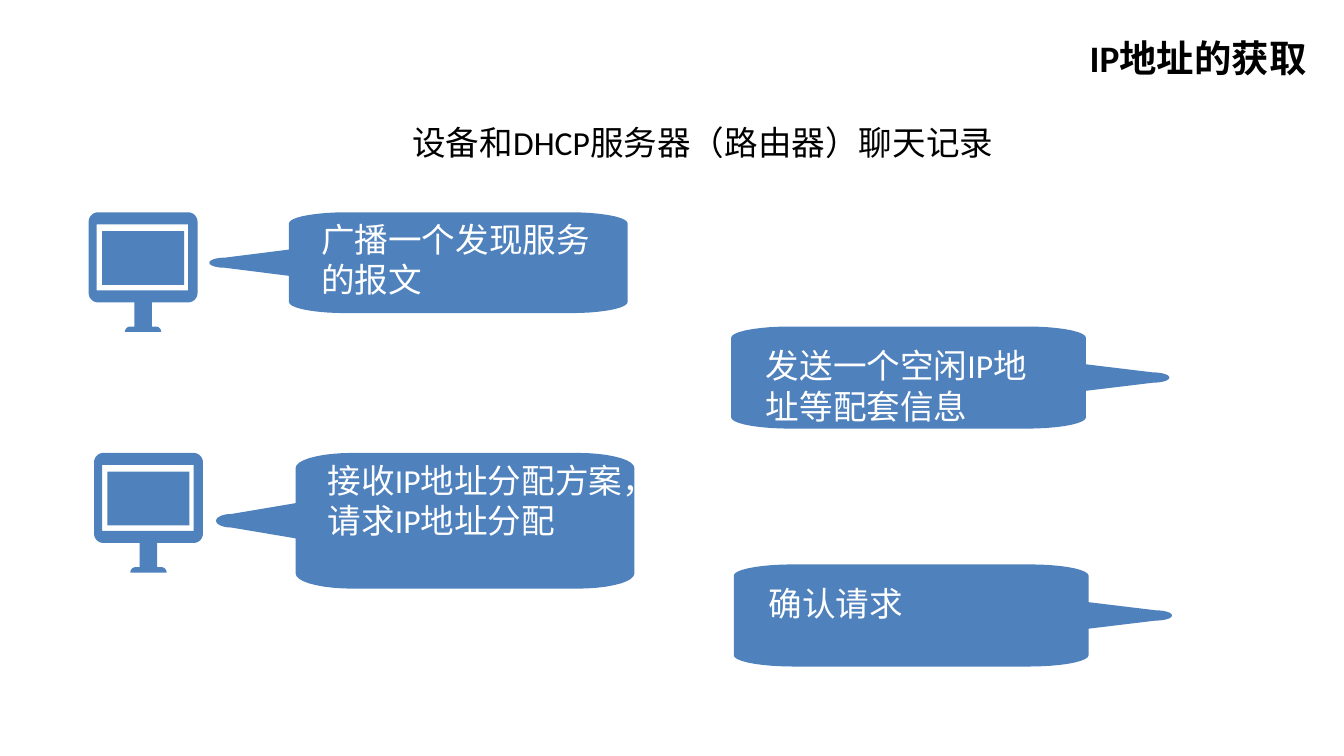
"""Build the slide showing how a device obtains an IP address over DHCP."""
from dataclasses import dataclass
from math import cos, radians, sin

from pptx import Presentation
from pptx.dml.color import RGBColor
from pptx.enum.text import MSO_ANCHOR, MSO_AUTO_SIZE, PP_ALIGN
from pptx.util import Inches, Pt

BLUE = RGBColor(0x4F, 0x81, 0xBD)
WHITE = RGBColor(0xFF, 0xFF, 0xFF)
BLACK = RGBColor(0x00, 0x00, 0x00)
FONT = "Calibri"
LEFT, RIGHT = PP_ALIGN.LEFT, PP_ALIGN.RIGHT
TOP, MIDDLE = MSO_ANCHOR.TOP, MSO_ANCHOR.MIDDLE
GROW, FIXED = MSO_AUTO_SIZE.SHAPE_TO_FIT_TEXT, MSO_AUTO_SIZE.NONE

Point = tuple[float, float]


@dataclass(frozen=True)
class Box:
    left: float
    top: float
    width: float
    height: float


@dataclass(frozen=True)
class Message:
    text: str
    bubble: Box
    text_box: Box
    tail_on_right: bool


MONITORS = [(0.66, 1.58), (0.7, 3.37)]
MESSAGES = [
    Message("广播一个发现服务的报文", Box(2.15, 1.58, 2.52, 0.75),
            Box(2.29, 1.58, 2.39, 0.71), False),
    Message("发送一个空闲IP地址等配套信息", Box(5.44, 2.43, 2.64, 0.76),
            Box(5.6, 2.52, 2.35, 0.71), True),
    Message("接收IP地址分配方案，请求IP地址分配", Box(2.2, 3.37, 2.52, 1.01),
            Box(2.34, 3.37, 2.39, 1.01), False),
    Message("确认请求", Box(5.46, 4.2, 2.64, 0.76),
            Box(5.62, 4.29, 2.35, 0.4), True),
]


def arc(cx: float, cy: float, rx: float, ry: float, start: int) -> list[Point]:
    """Return points along a clockwise quarter ellipse."""
    angles = [radians(start + step) for step in range(0, 91, 10)]
    return [(cx + rx * cos(a), cy + ry * sin(a)) for a in angles]


def rectangle(x1: float, y1: float, x2: float, y2: float) -> list[Point]:
    """Return the corners of a rectangle."""
    return [(x1, y1), (x2, y1), (x2, y2), (x1, y2)]


def add_outline(s, contours: list[list[Point]]) -> None:
    """Draw closed contours as one blue freeform."""
    paths = [[(Inches(x), Inches(y)) for x, y in points] for points in contours]
    builder = s.shapes.build_freeform(*paths[0][0])
    for i, points in enumerate(paths):
        if i:
            builder.move_to(*points[0])
        builder.add_line_segments(points[1:], close=True)
    sp = builder.convert_to_shape()
    sp.shadow.inherit = False
    sp.fill.solid()
    sp.fill.fore_color.rgb = BLUE
    sp.line.fill.background()


def add_monitor(s, left: float, top: float) -> None:
    """Draw a desktop monitor with its screen frame cut out."""
    right_half = (arc(0.74, 0.07, 0.07, 0.07, 270) + arc(0.74, 0.6, 0.07, 0.07, 0)
                  + [(0.47, 0.67), (0.47, 0.85)] + arc(0.5, 0.89, 0.04, 0.04, 270))
    left_half = [(0.81 - x, y) for x, y in reversed(right_half)]
    contours = [right_half + left_half,
                rectangle(0.06, 0.09, 0.74, 0.58),
                rectangle(0.1, 0.14, 0.71, 0.54)]
    add_outline(s, [[(left + x, top + y) for x, y in c] for c in contours])


def add_bubble(s, box: Box, tail_on_right: bool) -> None:
    """Draw a rounded speech bubble with a tail on one side."""
    rx, ry = 1 / 6, 0.11
    unit = (arc(rx, ry, rx, ry, 180) + arc(1 - rx, ry, rx, ry, 270)
            + [(1, 0.37)] + arc(1.19, 0.5, 0.045, 0.05, 270)
            + arc(1.19, 0.5, 0.045, 0.05, 0) + [(1, 0.63)]
            + arc(1 - rx, 1 - ry, rx, ry, 0) + arc(rx, 1 - ry, rx, ry, 90))
    add_outline(s, [[(box.left + box.width * (x if tail_on_right else 1 - x),
                      box.top + box.height * y) for x, y in unit]])


def add_text(s, box: Box, text: str, *, size: int = 18, color: RGBColor = BLACK,
             bold: bool = False, align=LEFT, anchor=TOP, auto_size=GROW,
             spacing: float = 1.0) -> None:
    """Add a wrapped text box holding one formatted run."""
    tf = s.shapes.add_textbox(Inches(box.left), Inches(box.top),
                              Inches(box.width), Inches(box.height)).text_frame
    tf.word_wrap = True
    tf.auto_size = auto_size
    tf.vertical_anchor = anchor
    p = tf.paragraphs[0]
    p.alignment = align
    p.line_spacing = spacing
    r = p.add_run()
    r.text = text
    r.font.name = FONT
    r.font.size = Pt(size)
    r.font.bold = bold
    r.font.color.rgb = color


def main() -> None:
    """Build and save the presentation."""
    prs = Presentation()
    prs.slide_width, prs.slide_height = Inches(10), Inches(10 * 9 / 16)
    s = prs.slides.add_slide(prs.slide_layouts[6])
    add_text(s, Box(6.34, 0.21, 3.48, 0.48), "IP地址的获取", size=20, bold=True,
             align=RIGHT, anchor=MIDDLE, auto_size=FIXED, spacing=0.9)
    for left, top in MONITORS:
        add_monitor(s, left, top)
    for message in MESSAGES:
        add_bubble(s, message.bubble, message.tail_on_right)
        add_text(s, message.text_box, message.text, color=WHITE)
    add_text(s, Box(2.97, 0.86, 5.93, 0.4), "设备和DHCP服务器（路由器）聊天记录")
    prs.save("out.pptx")


if __name__ == "__main__":
    main()
